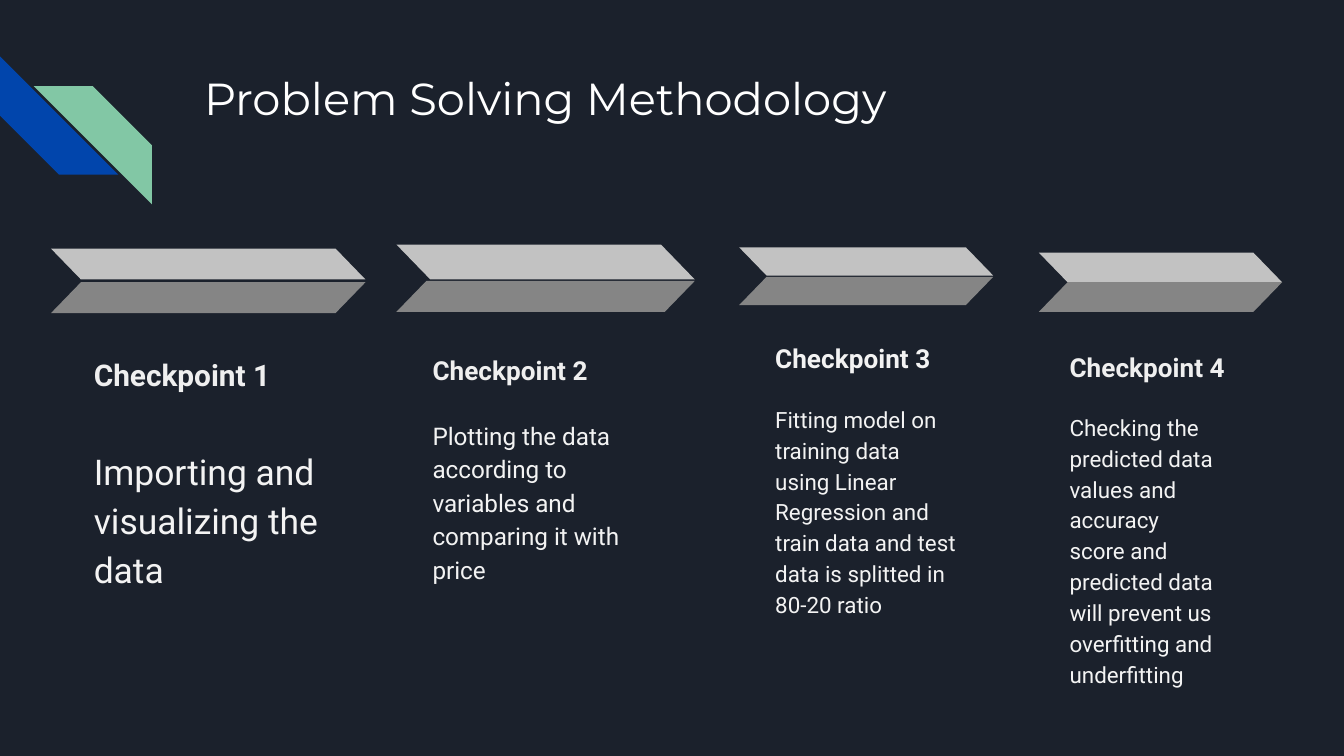
from pptx import Presentation
from pptx.dml.color import RGBColor
from pptx.enum.shapes import MSO_SHAPE
from pptx.enum.text import MSO_ANCHOR
from pptx.util import Inches, Pt

theme = dict(
    back="1B212C", blue="0145AC", green="82C7A5", light="C2C2C2", dark="858585",
    white="FFFFFF", pale="EFEFEF", soft="F3F3F3",
    title=24, head="Montserrat", body="Roboto",
)

deck = Presentation()
deck.slide_width, deck.slide_height = Inches(10), Inches(5.625)
slide = deck.slides.add_slide(deck.slide_layouts[6])
slide.background.fill.solid()
slide.background.fill.fore_color.rgb = RGBColor.from_string(theme["back"])

# Grid of square cells, 100 columns across the slide
cell = deck.slide_width // 100


def draw(kind, box, color, adj, flip=False, turn=0):
    shape = slide.shapes.add_shape(kind, *[round(n * cell) for n in box])
    shape.adjustments[0] = adj
    shape.shadow.inherit = False
    shape.fill.solid()
    shape.fill.fore_color.rgb = RGBColor.from_string(theme[color])
    shape.line.fill.background()
    shape.rotation = turn
    if flip:
        shape.element.spPr.xfrm.set("flipH", "1")


def write(text, box, size, font="body", color="soft", bold=False,
          low=False, gap=1.15, after=0):
    frame = slide.shapes.add_textbox(*[round(n * cell) for n in box]).text_frame
    frame.word_wrap = True
    frame.vertical_anchor = MSO_ANCHOR.BOTTOM if low else MSO_ANCHOR.TOP
    frame.margin_left = frame.margin_right = cell
    frame.margin_top = frame.margin_bottom = cell
    para = frame.paragraphs[0]
    para.line_spacing, para.space_after = gap, Pt(after)
    run = para.add_run()
    run.text = text
    run.font.name, run.font.size, run.font.bold = theme[font], Pt(size), bold
    run.font.color.rgb = RGBColor.from_string(theme[color])


# Corner stripes and title
draw(MSO_SHAPE.DIAGONAL_STRIPE, (0, 4.2, 8.8, 8.8), "blue", 0.5, turn=270)
draw(MSO_SHAPE.DIAGONAL_STRIPE, (2.5, 6.4, 8.8, 8.8), "green", 0.5, flip=True)
write("Problem Solving Methodology", (14.2, 4.3, 77, 10), theme["title"],
      font="head", color="white", gap=1)

# Per step: arrow (left, width), halves (top, height),
# text left, heading (top, width, height, size, color), body (the same), wording
steps = [
    ((3.8, 23.4), (18.5, 2.3), (21, 2.3), 6,
     (24.8, 23.4, 5.4, 16, "pale"), (32, 23.4, 11.7, 19, "soft"),
     "Importing and visualizing the data"),
    ((29.5, 22.2), (18.2, 2.6), (20.9, 2.3), 31.2,
     (23.9, 18.3, 5.8, 14, "pale"), (30, 18.3, 14.8, 13, "soft"),
     "Plotting the data according to variables and comparing it with price"),
    ((55, 18.9), (18.4, 2.1), (20.6, 2.1), 56.7,
     (25.3, 15.6, 3.5, 14, "soft"), (28.9, 15.6, 13.8, 12, "soft"),
     "Fitting model on training data using Linear Regression and "
     "train data and test data is splitted in 80-20 ratio"),
    ((77.3, 18.1), (18.8, 2.2), (21, 2.2), 78.6,
     (25.1, 15.5, 4.4, 14, "pale"), (29.5, 12.8, 22.3, 12, "soft"),
     "Checking the predicted data values and accuracy score and "
     "predicted data will prevent us overfitting and underfitting"),
]

for num, ((left, wide), upper, lower, edge, head, body, words) in enumerate(steps, 1):
    # Arrow made of two mirrored halves
    for (top, high), color, flip in ((upper, "light", True), (lower, "dark", False)):
        draw(MSO_SHAPE.PARALLELOGRAM, (left, top, wide, high), color, 0.97, flip=flip)
    # Heading and body
    for text, part, bold, after in ((f"Checkpoint {num}", head, True, 0),
                                    (words, body, False, 16)):
        top, width, high, size, color = part
        write(text, (edge, top, width, high), size, color=color,
              bold=bold, low=bold, after=after)

deck.save("out.pptx")
